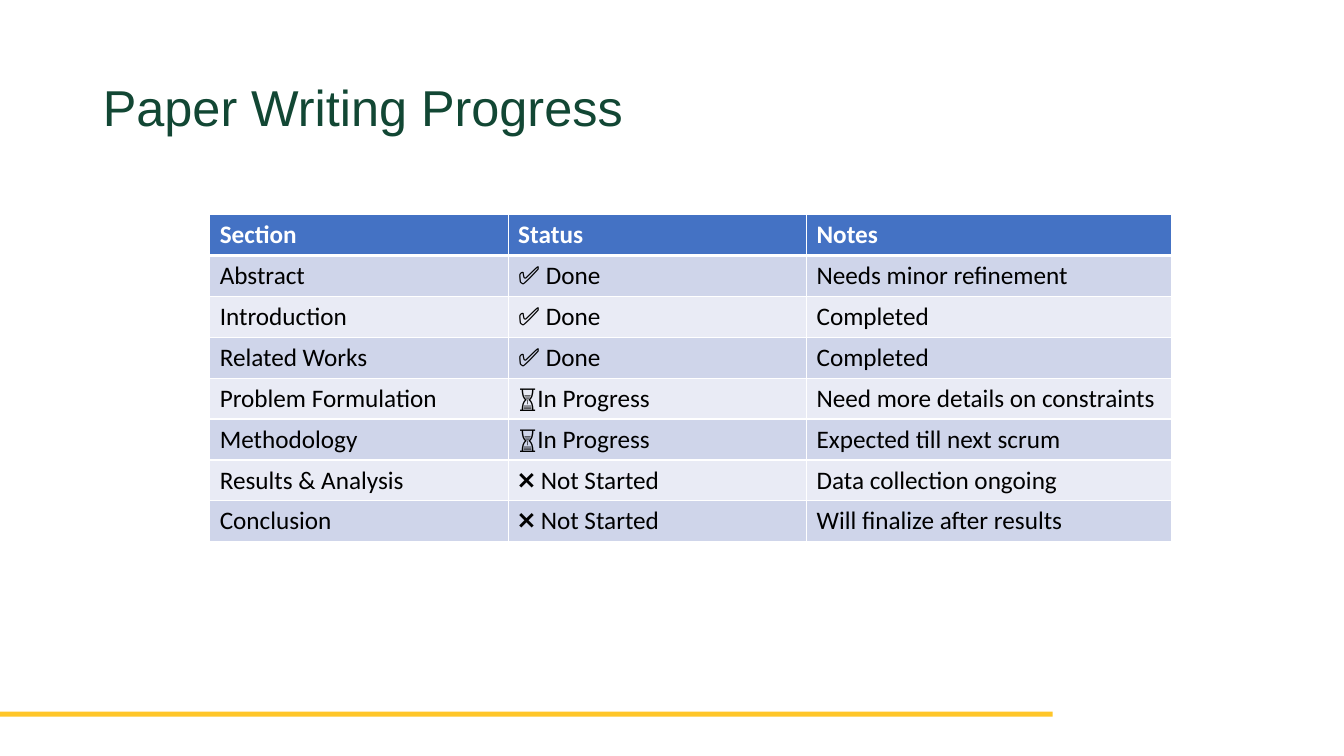
from pptx import Presentation
from pptx.dml.color import RGBColor
from pptx.enum.shapes import MSO_SHAPE as Shape
from pptx.enum.text import MSO_ANCHOR as Anchor, MSO_AUTO_SIZE as Fit, PP_ALIGN as Align
from pptx.oxml import parse_xml
from pptx.oxml.ns import nsdecls
from pptx.util import Inches, Pt

WIDE, HIGH = 13.33, 7.5
WHITE, BLACK, GREEN, GOLD = "FFFFFF", "000000", "124734", "FFC629"
HEAD, BANDS = "4472C4", ("E9EBF5", "CFD5EA")
COLS, ROW = (2.96, 2.96, 3.62), 0.405

ROWS = [
    ("Section", "Status", "Notes"),
    ("Abstract", "✅ Done", "Needs minor refinement"),
    ("Introduction", "✅ Done", "Completed"),
    ("Related Works", "✅ Done", "Completed"),
    ("Problem Formulation", "⏳In Progress", "Need more details on constraints"),
    ("Methodology", "⏳In Progress", "Expected till next scrum"),
    ("Results & Analysis", "❌ Not Started", "Data collection ongoing"),
    ("Conclusion", "❌ Not Started", "Will finalize after results"),
]


def paint(fmt, tone):
    """Give a fill one solid colour."""
    fmt.solid()
    fmt.fore_color.rgb = RGBColor.from_string(tone)


def set_font(para, name, size, tone, bold=False):
    font = para.font
    font.name, font.size, font.bold = name, Pt(size), bold
    font.color.rgb = RGBColor.from_string(tone)


def add_bar(slide):
    bar = slide.shapes.add_shape(Shape.RECTANGLE, 0, Inches(7.06), Inches(10.44), Inches(0.05))
    bar.shadow.inherit = False
    paint(bar.fill, GOLD)
    bar.line.fill.background()


def set_title(slide, text):
    title = slide.shapes.title
    title.left, title.top = Inches(0.92), Inches(0.77)
    title.width, title.height = Inches(11.87), Inches(0.82)
    frame = title.text_frame
    frame.text = text
    frame.auto_size, frame.vertical_anchor = Fit.NONE, Anchor.TOP
    para = frame.paragraphs[0]
    para.alignment, para.line_spacing = Align.LEFT, 0.9
    set_font(para, "Arial", 36, GREEN)


def add_edge(cell, side, width):
    cell._tc.get_or_add_tcPr().append(parse_xml(
        f'<a:ln{side} {nsdecls("a")} w="{Pt(width)}"><a:solidFill>'
        f'<a:srgbClr val="{WHITE}"/></a:solidFill></a:ln{side}>'))


def fill_cell(cell, text, row):
    top = row == 0
    for side in "LRTB":
        thick = (top and side == "B") or (row == 1 and side == "T")
        add_edge(cell, side, 3 if thick else 1)
    paint(cell.fill, HEAD if top else BANDS[row % 2])
    cell.text = text
    cell.vertical_anchor = Anchor.MIDDLE
    set_font(cell.text_frame.paragraphs[0], "Calibri", 18, WHITE if top else BLACK, top)


def add_grid(slide):
    table = slide.shapes.add_table(
        len(ROWS), len(COLS), Inches(2.08), Inches(2.13),
        Inches(sum(COLS)), Inches(ROW * len(ROWS))).table
    for col, width in zip(table.columns, COLS):
        col.width = Inches(width)
    for row, texts in enumerate(ROWS):
        table.rows[row].height = Inches(ROW)
        for col, text in enumerate(texts):
            fill_cell(table.cell(row, col), text, row)


def main():
    deck = Presentation()
    deck.slide_width, deck.slide_height = Inches(WIDE), Inches(HIGH)
    slide = deck.slides.add_slide(deck.slide_layouts[5])
    paint(slide.background.fill, WHITE)
    add_bar(slide)
    set_title(slide, "Paper Writing Progress")
    add_grid(slide)
    deck.save("out.pptx")


if __name__ == "__main__":
    main()
